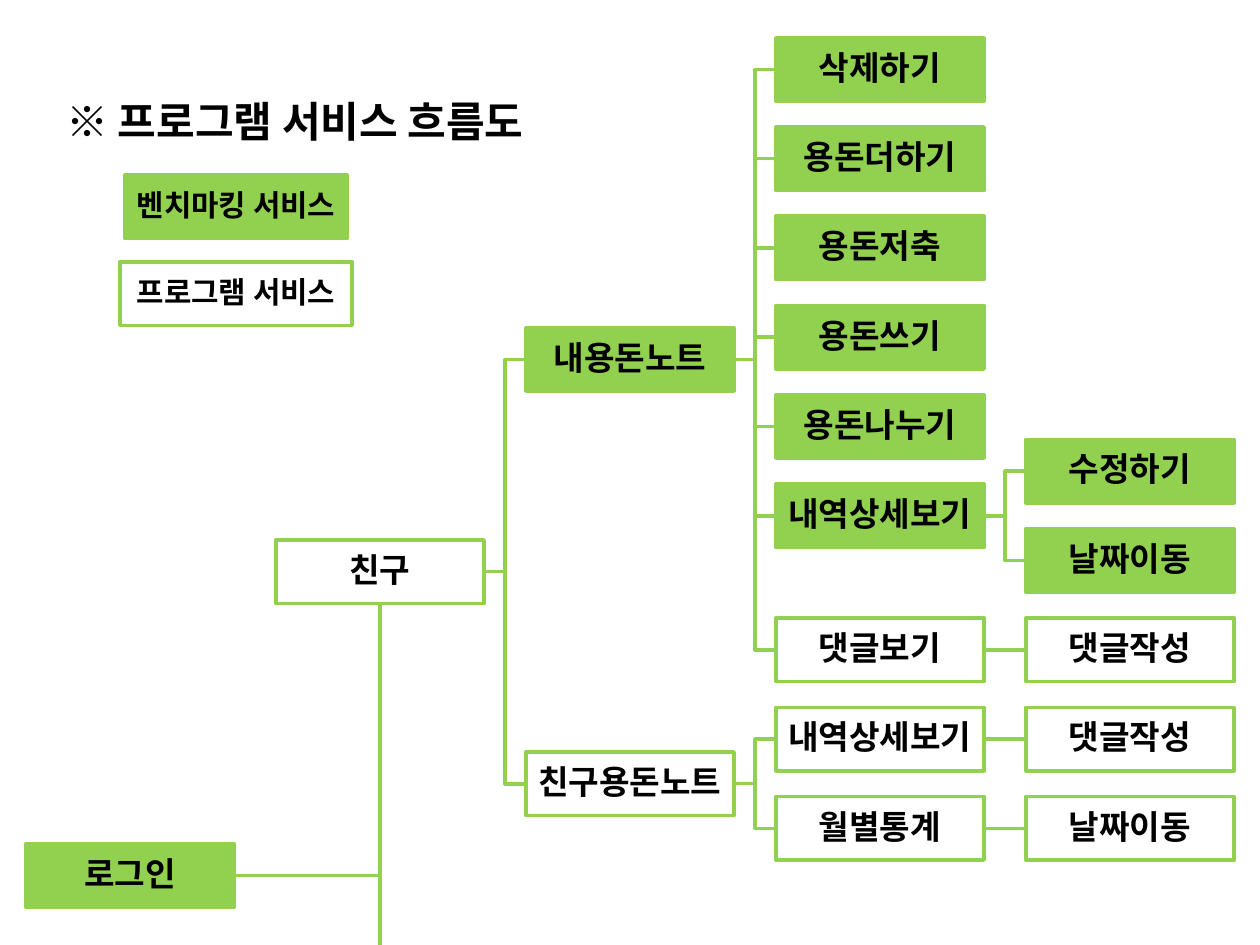
from collections import namedtuple

from lxml import etree
from pptx import Presentation
from pptx import util as u
from pptx.dml.color import RGBColor
from pptx.enum import shapes, text
from pptx.oxml import ns

GREEN = RGBColor(0x92, 0xD0, 0x50)
WHITE = RGBColor(0xFF, 0xFF, 0xFF)
BLACK = RGBColor(0x00, 0x00, 0x00)
FONT = "Noto Sans CJK KR"

# Lengths are in centimetres
Box = namedtuple("Box", "left top width height")
Node = namedtuple("Node", "label fill row children", defaults=(None, ()))

NODE_WIDTH, NODE_HEIGHT = 4.2, 1.28
COLUMN_STEP, ROW_STEP = 5.04, 1.8

# Leaves carry their row; a parent sits midway between its outer children
FRIENDS = Node("친구", WHITE, children=(
    Node("내용돈노트", GREEN, children=(
        Node("삭제하기", GREEN, 0),
        Node("용돈더하기", GREEN, 1),
        Node("용돈저축", GREEN, 2),
        Node("용돈쓰기", GREEN, 3),
        Node("용돈나누기", GREEN, 4),
        Node("내역상세보기", GREEN, children=(
            Node("수정하기", GREEN, 4.5),
            Node("날짜이동", GREEN, 5.5))),
        Node("댓글보기", WHITE, children=(Node("댓글작성", WHITE, 6.5),)))),
    Node("친구용돈노트", WHITE, children=(
        Node("내역상세보기", WHITE, children=(Node("댓글작성", WHITE, 7.5),)),
        Node("월별통계", WHITE, children=(Node("날짜이동", WHITE, 8.5),)))),
))


def style_text(para, size):
    para.font.name = FONT
    para.font.size = u.Pt(size)
    para.font.bold = True
    para.font.color.rgb = BLACK
    # Hangul takes the East Asian typeface
    defaults = para._p.get_or_add_pPr().find(ns.qn("a:defRPr"))
    etree.SubElement(defaults, ns.qn("a:ea")).set("typeface", FONT)


def draw_label_box(page, box, label, fill, size=19):
    shape = page.shapes.add_shape(
        shapes.MSO_SHAPE.RECTANGLE, *(u.Cm(length) for length in box))
    shape.shadow.inherit = False
    shape.fill.solid()
    shape.fill.fore_color.rgb = fill
    shape.line.color.rgb = GREEN
    shape.line.width = u.Pt(2)
    frame = shape.text_frame
    frame.word_wrap = True
    frame.vertical_anchor = text.MSO_ANCHOR.MIDDLE
    frame.margin_left = frame.margin_right = u.Cm(0.03)
    frame.margin_top = frame.margin_bottom = u.Cm(0.03)
    frame.text = label
    para = frame.paragraphs[0]
    para.alignment = text.PP_ALIGN.CENTER
    para.line_spacing = 0.9
    style_text(para, size)
    return shape


def draw_line(page, start, end, kind=shapes.MSO_CONNECTOR.STRAIGHT, width=2):
    line = page.shapes.add_connector(
        kind, *(u.Cm(length) for length in (*start, *end)))
    line.line.color.rgb = GREEN
    line.line.width = u.Pt(width)
    etree.SubElement(line._element.spPr, ns.qn("a:effectLst"))


def find_row(node):
    if not node.children:
        return node.row
    return (find_row(node.children[0]) + find_row(node.children[-1])) / 2


def draw_tree(page, node, left, top):
    """Draws a node, its links and its children; top is that of row 0."""
    row = find_row(node)
    box = Box(left, top + row * ROW_STEP, NODE_WIDTH, NODE_HEIGHT)
    middle = box.top + NODE_HEIGHT / 2
    for child in node.children:
        child_row = find_row(child)
        kind = (shapes.MSO_CONNECTOR.STRAIGHT if child_row == row
                else shapes.MSO_CONNECTOR.ELBOW)
        draw_line(page, (left + NODE_WIDTH, middle),
                  (left + COLUMN_STEP, middle + (child_row - row) * ROW_STEP),
                  kind)
        draw_tree(page, child, left + COLUMN_STEP, top)
    draw_label_box(page, box, node.label, node.fill)
    return box


def draw_login(page, box, friends, bottom):
    """Draws the login box and the trunk running down from the friends box."""
    trunk = friends.left + friends.width / 2
    middle = box.top + box.height / 2
    draw_line(page, (box.left + box.width, middle), (trunk, middle))
    draw_line(page, (trunk, friends.top + friends.height), (trunk, bottom),
              width=2.25)
    draw_label_box(page, box, "로그인", GREEN)


def draw_legend(page, box):
    inset = 0.1
    draw_label_box(page, Box(box.left + inset, box.top,
                             box.width - 2 * inset, NODE_HEIGHT),
                   "벤치마킹 서비스", GREEN, 17)
    draw_label_box(page, Box(box.left, box.top + box.height - NODE_HEIGHT,
                             box.width, NODE_HEIGHT),
                   "프로그램 서비스", WHITE, 17)


def draw_title(page, box):
    title = page.shapes.add_textbox(*(u.Cm(length) for length in box))
    frame = title.text_frame
    frame.word_wrap = False
    frame.auto_size = text.MSO_AUTO_SIZE.SHAPE_TO_FIT_TEXT
    frame.text = "※ 프로그램 서비스 흐름도"
    style_text(frame.paragraphs[0], 24)


def main():
    deck = Presentation()
    deck.slide_width, deck.slide_height = u.Cm(25.4), u.Cm(19.05)
    page = deck.slides.add_slide(deck.slide_layouts[6])

    # Service flow
    friends = draw_tree(page, FRIENDS, 5.56, 0.76)
    draw_login(page, Box(friends.left - COLUMN_STEP, 17.01,
                         NODE_WIDTH, NODE_HEIGHT), friends, 19.05)

    # Title and key
    draw_legend(page, Box(2.42, 3.53, 4.68, 3.03))
    draw_title(page, Box(1.09, 1.8, 10.8, 1.28))

    deck.save("out.pptx")


if __name__ == "__main__":
    main()
